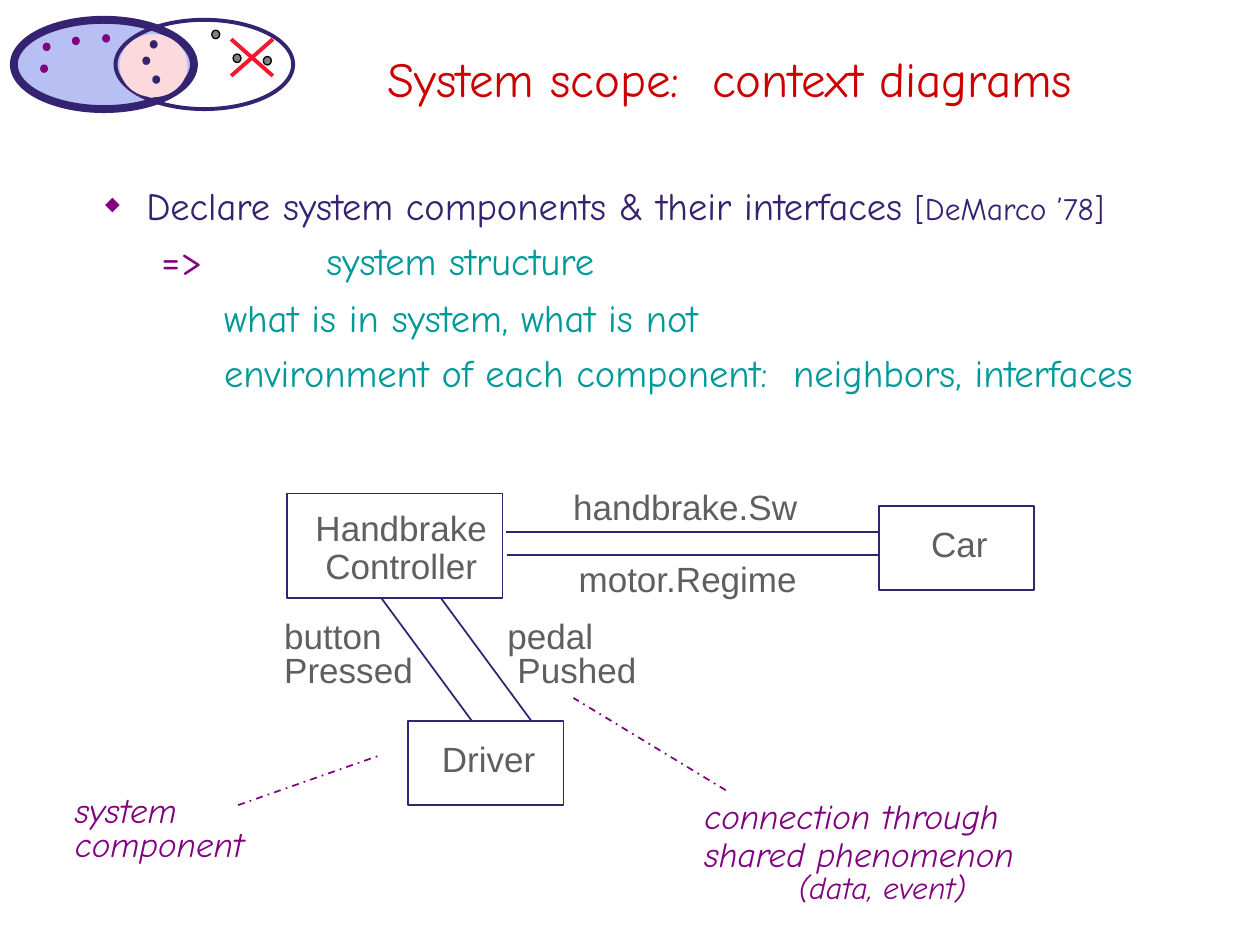
from dataclasses import dataclass

from lxml import etree
from pptx import Presentation
from pptx.dml.color import RGBColor
from pptx.enum.dml import MSO_LINE
from pptx.enum.shapes import MSO_CONNECTOR, MSO_SHAPE
from pptx.enum.text import MSO_ANCHOR, MSO_AUTO_SIZE, PP_ALIGN
from pptx.oxml.ns import qn
from pptx.util import Cm, Pt

RECTANGLE, OVAL = MSO_SHAPE.RECTANGLE, MSO_SHAPE.OVAL
STRAIGHT, DASH_DOT = MSO_CONNECTOR.STRAIGHT, MSO_LINE.DASH_DOT
LEFT, CENTER, RIGHT = PP_ALIGN.LEFT, PP_ALIGN.CENTER, PP_ALIGN.RIGHT
TOP, MIDDLE = MSO_ANCHOR.TOP, MSO_ANCHOR.MIDDLE


@dataclass(frozen=True)
class Theme:
    heading_font: str = "Comic Neue"
    label_font: str = "Arial"
    red: str = "CC0000"
    cross: str = "F9152B"
    navy: str = "352270"
    purple: str = "800080"
    teal: str = "009999"
    label: str = "5F5F5F"
    gray: str = "808080"
    black: str = "000000"
    lavender: str = "B8BFF2"
    pink: str = "FBD9DC"
    title_size: int = 28
    arrow_size: int = 24
    body_size: int = 22
    label_size: int = 20
    small_size: int = 18


def add_run(paragraph, text, *, font, size, color, italic=False):
    run = paragraph.add_run()
    run.text = text
    run.font.name = font
    run.font.size = Pt(size)
    run.font.italic = italic
    run.font.color.rgb = RGBColor.from_string(color)


def format_paragraph(paragraph, *, align=LEFT, spacing=1.0, before=0, level=0, margin=0, hanging=0):
    paragraph.alignment = align
    paragraph.line_spacing = spacing
    paragraph.space_before = Pt(before)
    paragraph.level = level
    properties = paragraph._p.get_or_add_pPr()
    properties.set("marL", str(Cm(margin)))
    properties.set("indent", str(Cm(-hanging)))
    properties.set("defTabSz", str(Cm(2.54)))


def add_bullet(paragraph, character, color, percent):
    properties = paragraph._p.get_or_add_pPr()
    bullet_color = etree.SubElement(properties, qn("a:buClr"))
    etree.SubElement(bullet_color, qn("a:srgbClr"), val=color)
    etree.SubElement(properties, qn("a:buSzPct"), val=str(percent * 1000))
    etree.SubElement(properties, qn("a:buChar"), char=character)


class SlideBuilder:
    def __init__(self, slide, theme):
        self.slide = slide
        self.theme = theme

    def text_frame(self, left, top, width, height, anchor=TOP, inset=0.25):
        box = self.slide.shapes.add_textbox(Cm(left), Cm(top), Cm(width), Cm(height))
        frame = box.text_frame
        frame.word_wrap = True
        frame.auto_size = MSO_AUTO_SIZE.NONE
        frame.vertical_anchor = anchor
        frame.margin_left = Cm(inset)
        return frame

    def paragraphs(self, frame):
        """Yield the first paragraph of the frame, then new ones."""
        yield frame.paragraphs[0]
        while True:
            yield frame.add_paragraph()

    def shape(self, kind, left, top, width, height, fill=None, line=None, weight=1):
        shape = self.slide.shapes.add_shape(kind, Cm(left), Cm(top), Cm(width), Cm(height))
        shape.shadow.inherit = False
        if fill:
            shape.fill.solid()
            shape.fill.fore_color.rgb = RGBColor.from_string(fill)
        else:
            shape.fill.background()
        if line:
            shape.line.color.rgb = RGBColor.from_string(line)
            shape.line.width = Pt(weight)
        else:
            shape.line.fill.background()

    def line(self, start_x, start_y, end_x, end_y, color, weight=1, dash=None):
        connector = self.slide.shapes.add_connector(
            STRAIGHT, Cm(start_x), Cm(start_y), Cm(end_x), Cm(end_y))
        connector.line.color.rgb = RGBColor.from_string(color)
        connector.line.width = Pt(weight)
        if dash:
            connector.line.dash_style = dash
        etree.SubElement(connector._element.spPr, qn("a:effectLst"))

    def title(self, text):
        paragraph = self.text_frame(4.34, 0.51, 20.75, 2.11, MIDDLE).paragraphs[0]
        format_paragraph(paragraph, align=CENTER)
        add_run(paragraph, text, font=self.theme.heading_font,
                size=self.theme.title_size, color=self.theme.red)

    def label(self, bounds, *lines):
        """Add a diagram label; each line is its text and paragraph format."""
        frame = self.text_frame(*bounds)
        for paragraph, (text, layout) in zip(self.paragraphs(frame), lines):
            format_paragraph(paragraph, **layout)
            add_run(paragraph, text, font=self.theme.label_font,
                    size=self.theme.label_size, color=self.theme.label)

    def note(self, bounds, *lines):
        """Add an italic remark; each line is its text, size and paragraph format."""
        frame = self.text_frame(*bounds, MIDDLE)
        for paragraph, (text, size, layout) in zip(self.paragraphs(frame), lines):
            format_paragraph(paragraph, **layout)
            add_run(paragraph, text, font=self.theme.heading_font, size=size,
                    color=self.theme.purple, italic=True)


def draw_scope_icon(builder):
    theme = builder.theme
    builder.shape(OVAL, 0.28, 0.4, 3.63, 1.8, theme.lavender, theme.navy, 4.5)
    builder.shape(OVAL, 2.33, 0.4, 3.58, 1.8, None, theme.navy, 2.25)
    builder.shape(OVAL, 2.41, 0.69, 1.37, 1.27, theme.pink)
    dot_groups = (
        (theme.purple, None, ((0.86, 0.86), (1.45, 0.74), (0.81, 1.3), (2.06, 0.69))),
        (theme.gray, theme.black, ((4.27, 0.61), (4.7, 1.09), (5.31, 1.14))),
        (theme.navy, None, ((3.02, 0.81), (3.07, 1.52), (2.87, 1.14))),
    )
    for fill, outline, places in dot_groups:
        for left, top in places:
            builder.shape(OVAL, left, top, 0.16, 0.17, fill, outline, 0.75)
    for start_y, end_y in ((1.53, 0.79), (0.79, 1.53)):
        builder.line(4.66, start_y, 5.5, end_y, theme.cross, 2.25)


def write_body(builder):
    theme = builder.theme
    frame = builder.text_frame(0.86, 4, 24.36, 4.22, MIDDLE, inset=1.12)
    first_level = dict(spacing=1.2, margin=0.97, hanging=0.83)
    second_level = dict(spacing=0.9, before=6, level=1, margin=2.06, hanging=0.79)
    third_level = dict(before=5.2, level=2, margin=3.18, hanging=0.64)
    body = theme.body_size
    lines = (
        (first_level, (("Declare system components & their interfaces ", body, theme.navy),
                       ("[DeMarco ’78]", theme.small_size, theme.navy))),
        (second_level, (("=>", theme.arrow_size, theme.purple),
                        (" \tsystem structure", body, theme.teal))),
        (third_level, (("what is in system, what is not", body, theme.teal),)),
        (third_level, (("environment of each component:  neighbors, interfaces",
                        body, theme.teal),)),
    )
    for paragraph, (layout, runs) in zip(builder.paragraphs(frame), lines):
        format_paragraph(paragraph, **layout)
        if layout is first_level:
            add_bullet(paragraph, "◆", theme.purple, 50)
        for text, size, color in runs:
            add_run(paragraph, text, font=theme.heading_font, size=size, color=color)


def draw_context_diagram(builder):
    theme = builder.theme
    for bounds in ((5.79, 9.95, 4.34, 2.11), (8.23, 14.53, 3.13, 1.7), (17.72, 10.2, 3.13, 1.7)):
        builder.shape(RECTANGLE, *bounds, line=theme.navy)
    for ends in ((10.2, 10.72, 17.7, 10.72), (10.22, 11.19, 17.72, 11.19),
                 (7.69, 12.06, 9.51, 14.53), (8.89, 12.06, 10.71, 14.53)):
        builder.line(*ends, theme.navy)

    centered = dict(align=CENTER)
    builder.label((5.97, 10.08, 4.24, 1.85), ("Handbrake", centered),
                  ("Controller", dict(align=CENTER, spacing=0.4, before=10.2)))
    for text, bounds in (("Driver", (8.54, 14.75, 2.62, 1.09)),
                         ("Car", (18.03, 10.41, 2.62, 1.09)),
                         ("handbrake.Sw", (10.32, 9.66, 6.99, 1.09)),
                         ("motor.Regime", (10.37, 11.11, 6.99, 1.09))):
        builder.label(bounds, (text, centered))
    tight = dict(spacing=0.8)
    builder.label((9.98, 12.43, 3.1, 1.63), ("pedal", tight),
                  ("Pushed", dict(align=RIGHT, spacing=0.8)))
    builder.label((5.48, 12.43, 3.38, 1.63), ("button", tight), ("Pressed", tight))


def add_notes(builder):
    theme = builder.theme
    size = theme.label_size
    builder.note((1.26, 16.19, 4.42, 1.65), ("system", size, {}),
                 ("component", size, dict(spacing=0.4, before=7.8)))
    builder.note((13.95, 16.36, 7.67, 2.26), ("connection through", size, {}),
                 ("shared phenomenon", size, dict(spacing=0.5, before=8.2)),
                 ("(data, event)", theme.small_size,
                  dict(align=CENTER, spacing=0.5, before=7.4)))
    for ends in ((4.8, 16.23, 7.62, 15.24), (14.63, 15.93, 11.56, 14.07)):
        builder.line(*ends, theme.purple, dash=DASH_DOT)


def main():
    presentation = Presentation()
    presentation.slide_width, presentation.slide_height = Cm(25.4), Cm(19.05)
    slide = presentation.slides.add_slide(presentation.slide_layouts[6])
    builder = SlideBuilder(slide, Theme())
    builder.title("System scope:  context diagrams")
    draw_scope_icon(builder)
    write_body(builder)
    draw_context_diagram(builder)
    add_notes(builder)
    presentation.save("out.pptx")


if __name__ == "__main__":
    main()
